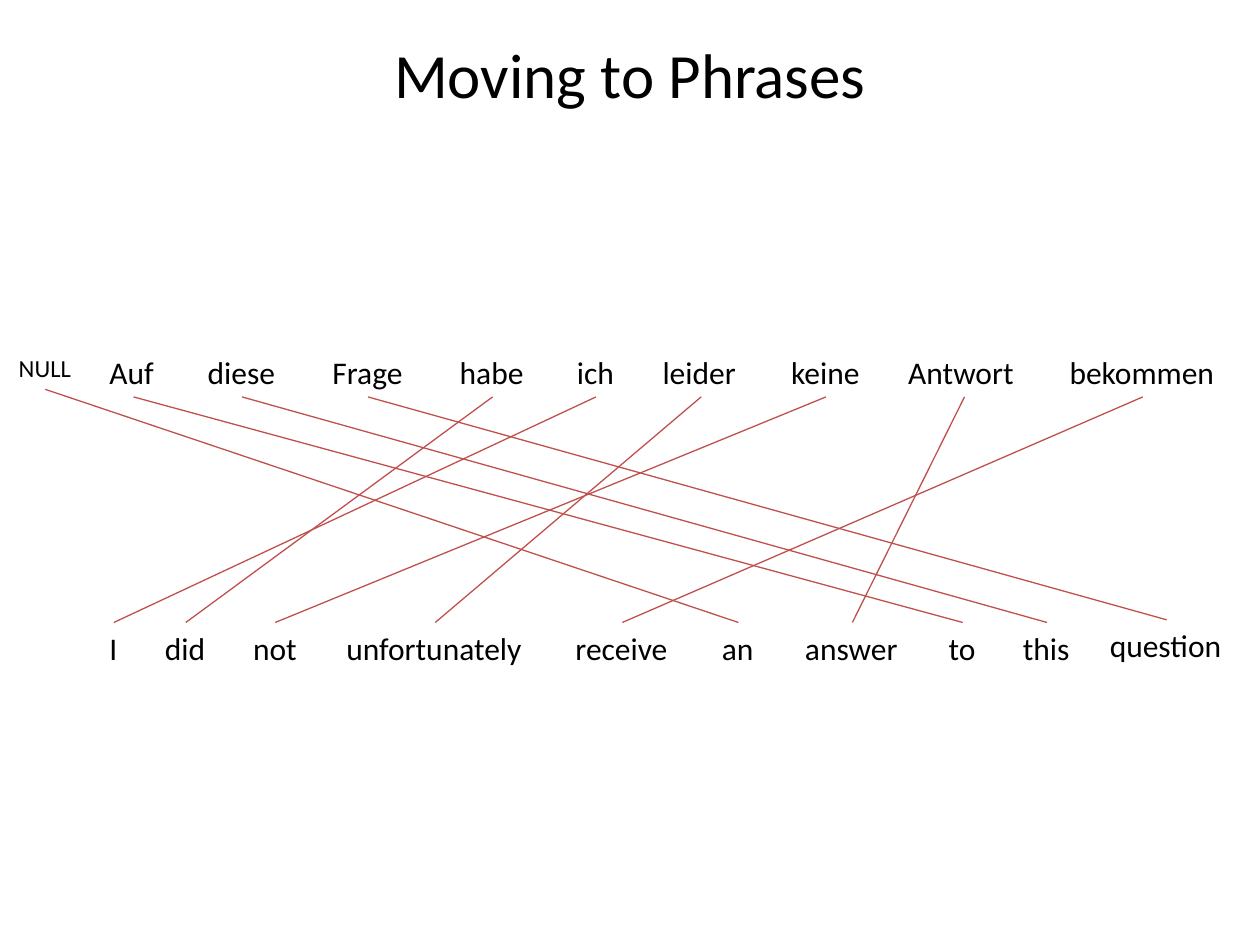
from lxml.etree import SubElement
from pptx import Presentation
from pptx.dml.color import RGBColor
from pptx.enum.shapes import MSO_CONNECTOR as Connector
from pptx.enum.text import MSO_ANCHOR as Anchor, MSO_AUTO_SIZE as AutoSize, PP_ALIGN as Align
from pptx.oxml.ns import qn
from pptx.util import Pt

TOP, BOTTOM = 2, 0  # connection sites of a text box


def color(hex_string):
    return RGBColor.from_string(hex_string)


class AlignmentSlide:
    font = "Calibri"
    ink = "000000"
    link_color = "C0504D"

    def __init__(self, deck):
        self.slide = deck.slides.add_slide(deck.slide_layouts[6])

    def text(self, words, left, top, width, height, size, align):
        box = self.slide.shapes.add_textbox(Pt(left), Pt(top), Pt(width), Pt(height))
        paragraph = box.text_frame.paragraphs[0]
        paragraph.text = words
        paragraph.alignment = align
        paragraph.font.name = self.font
        paragraph.font.size = Pt(size)
        paragraph.font.color.rgb = color(self.ink)
        return box

    def title(self, words):
        frame = self.text(words, 36, 13.7, 648, 56.9, 36, Align.CENTER).text_frame
        frame.word_wrap = True
        frame.vertical_anchor = Anchor.MIDDLE

    def word(self, word, left, top, width, height=28.8, size=18, align=Align.JUSTIFY):
        box = self.text(word, left, top, width, height, size, align)
        box.text_frame.word_wrap = False
        box.text_frame.auto_size = AutoSize.SHAPE_TO_FIT_TEXT
        return box

    def link(self, source, target):
        line = self.slide.shapes.add_connector(Connector.STRAIGHT, 0, 0, 0, 0)
        line.begin_connect(source, 2)
        line.end_connect(target, 0)
        line.line.color.rgb = color(self.link_color)
        line.line.width = Pt(0.75)
        SubElement(line._element.spPr, qn("a:effectLst"))


# Each word with its left edge and width
GERMAN_TOP = 198
GERMAN = [
    ("Auf", 55.4, 41.8), ("diese", 111.6, 53.3), ("Frage", 182.9, 54.7),
    ("habe", 255.6, 51.8), ("ich", 322.6, 36), ("leider", 371.5, 58.3),
    ("keine", 445, 54), ("Antwort", 511.9, 78.5), ("bekommen", 604.1, 97.9),
]
ENGLISH_TOP = 355.7
ENGLISH = [
    ("I", 55.4, 19.4), ("did", 87.1, 38.2), ("not", 137.5, 39.6),
    ("unfortunately", 190.8, 115.9), ("receive", 321.8, 67.7), ("an", 405.4, 33.1),
    ("answer", 452.9, 68.4), ("to", 535, 30.2), ("this", 577.4, 41.8),
]
ALIGNMENT = {
    "Frage": "question", "ich": "I", "leider": "unfortunately", "keine": "not",
    "bekommen": "receive", "diese": "this", "Auf": "to", "habe": "did",
    "Antwort": "answer", "NULL": "an",
}


def main():
    deck = Presentation()
    deck.slide_width, deck.slide_height = Pt(720), Pt(540)
    page = AlignmentSlide(deck)
    page.title("Moving to Phrases")

    # German sentence, with the empty word in front
    german = {word: page.word(word, left, GERMAN_TOP, width) for word, left, width in GERMAN}
    german["NULL"] = page.word("NULL", 3.6, GERMAN_TOP, 44.6, 24.5, 14, Align.LEFT)

    # English sentence; its last word sits slightly higher
    english = {word: page.word(word, left, ENGLISH_TOP, width) for word, left, width in ENGLISH}
    english["question"] = page.word("question", 627.1, 354.2, 79.2)

    # Word alignment
    for source, target in ALIGNMENT.items():
        page.link(german[source], english[target])

    deck.save("out.pptx")


if __name__ == "__main__":
    main()
